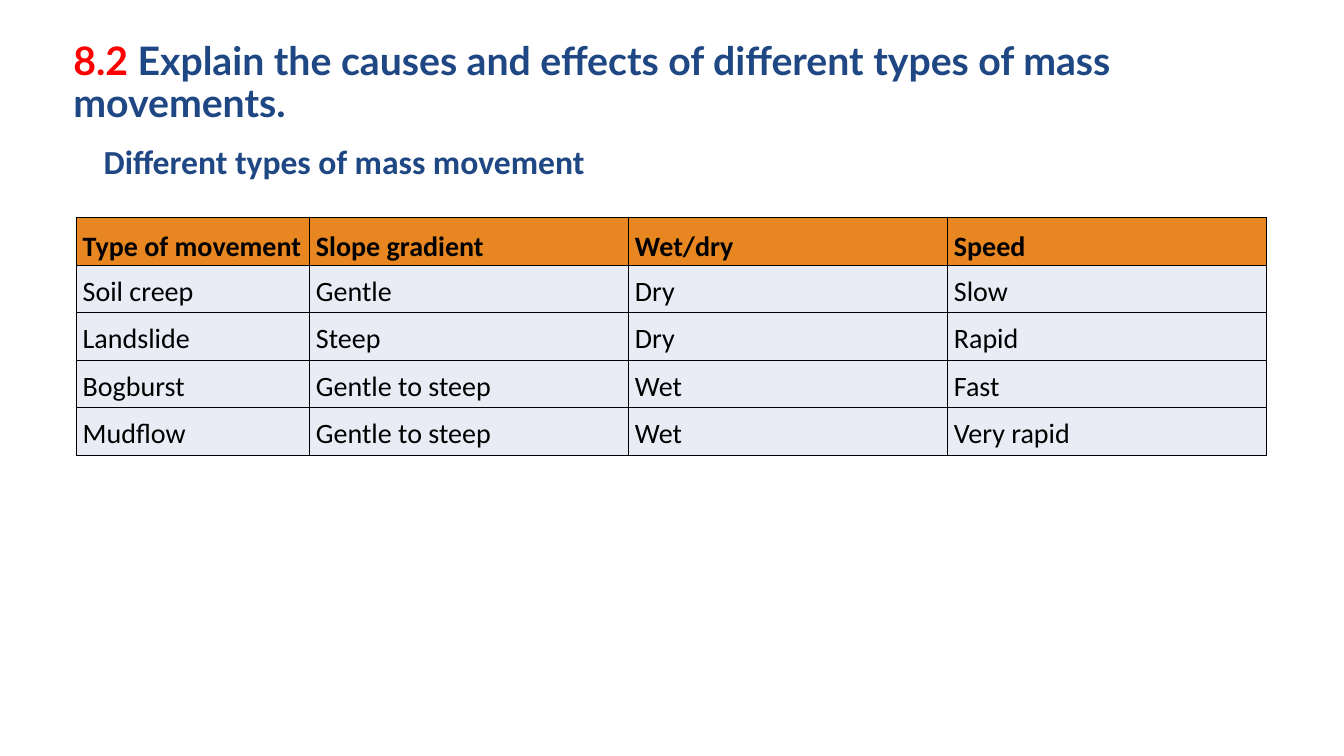
from lxml import etree
from pptx import Presentation, util as u
from pptx.dml.color import RGBColor
from pptx.enum import text
from pptx.oxml import ns

COLORS = {"accent": "FF0000", "heading": "1E4783", "ink": "000000",
          "header": "E88621", "body": "E9EBF5"}
MOVEMENTS = [
    ["Type of movement", "Slope gradient", "Wet/dry", "Speed"],
    ["Soil creep", "Gentle", "Dry", "Slow"],
    ["Landslide", "Steep", "Dry", "Rapid"],
    ["Bogburst", "Gentle to steep", "Wet", "Fast"],
    ["Mudflow", "Gentle to steep", "Wet", "Very rapid"],
]


def write(para, words, font="Calibri", size=20, color="ink", bold=False):
    span = para.add_run()
    span.text = words
    span.font.name = font
    span.font.size = u.Pt(size)
    span.font.bold = bold
    span.font.color.rgb = RGBColor.from_string(COLORS[color])


def grid(count):
    """Length of a number of grid columns or rows, ten to the inch."""
    return u.Inches(count / 10)


class SlideBuilder:
    def __init__(self, deck):
        self.page = deck.slides.add_slide(deck.slide_layouts[6])

    def text_box(self, left, top, width, height, wrap=True):
        """Add a text box and return its first paragraph."""
        box = self.page.shapes.add_textbox(*map(grid, (left, top, width, height)))
        box.text_frame.word_wrap = wrap
        if not wrap:
            box.text_frame.auto_size = text.MSO_AUTO_SIZE.SHAPE_TO_FIT_TEXT
        return box.text_frame.paragraphs[0]

    def table(self, left, top, widths, row_height, records):
        frame = self.page.shapes.add_table(
            len(records), len(widths), grid(left), grid(top),
            grid(sum(widths)), grid(row_height * len(records)))
        for column, width in zip(frame.table.columns, widths):
            column.width = grid(width)
        for row, record in zip(frame.table.rows, records):
            row.height = grid(row_height)
            is_header = record is records[0]
            for cell, words in zip(row.cells, record):
                self.border(cell)
                cell.fill.solid()
                fill = COLORS["header" if is_header else "body"]
                cell.fill.fore_color.rgb = RGBColor.from_string(fill)
                cell.margin_left = grid(0.6)
                cell.margin_top = grid(1.2 if is_header else 0.9)
                cell.margin_right = cell.margin_bottom = 0
                write(cell.text_frame.paragraphs[0], words, bold=is_header)

    def border(self, cell):
        properties = cell._tc.get_or_add_tcPr()
        for side in ("lnL", "lnR", "lnT", "lnB"):
            line = etree.SubElement(properties, ns.qn(f"a:{side}"), w=str(u.Pt(1)))
            fill = etree.SubElement(line, ns.qn("a:solidFill"))
            etree.SubElement(fill, ns.qn("a:srgbClr"), val=COLORS["ink"])


def main():
    deck = Presentation()
    deck.slide_width, deck.slide_height = u.Inches(13.33), u.Inches(7.5)
    builder = SlideBuilder(deck)

    title = builder.text_box(6.3, 3.6, 123.7, 6.8)
    title.line_spacing = 0.9
    write(title, "8.2", font="Lato", size=28, color="accent", bold=True)
    write(title, " Explain the causes and effects of different types of mass movements.",
          font="Lato", size=28, color="heading", bold=True)

    builder.table(7.6, 21.6, [23.14] + [31.64] * 3, 4.72, MOVEMENTS)

    subtitle = builder.text_box(9.3, 13.5, 50.3, 5, wrap=False)
    write(subtitle, "Different types of mass movement", size=24, color="heading", bold=True)

    deck.save("out.pptx")


if __name__ == "__main__":
    main()
